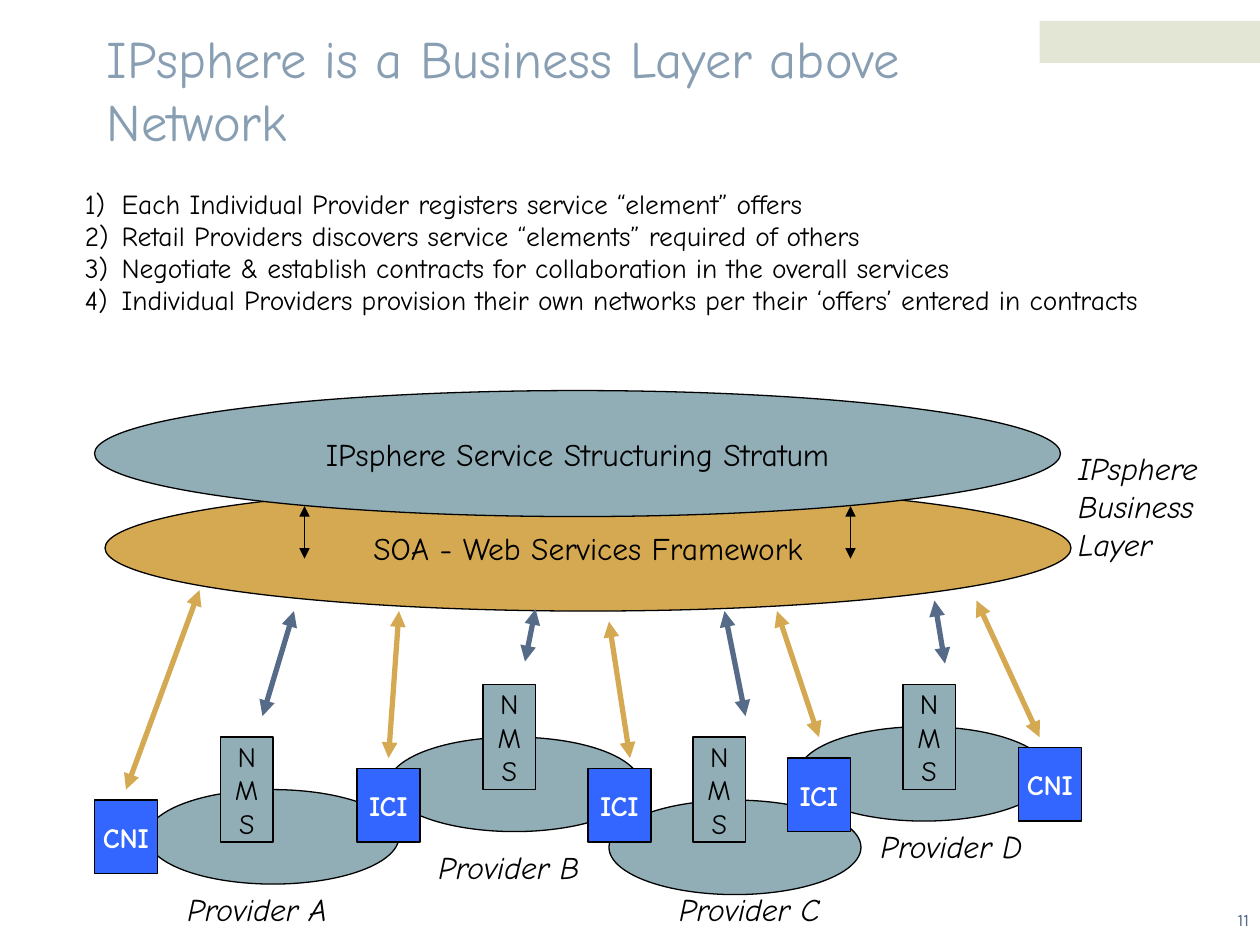
from lxml.etree import SubElement
from pptx import Presentation
from pptx.dml.color import RGBColor
from pptx.enum.shapes import MSO_CONNECTOR, MSO_SHAPE
from pptx.enum.text import MSO_ANCHOR, MSO_AUTO_SIZE, PP_ALIGN
from pptx.oxml.ns import qn
from pptx.util import Pt

# Content
TITLE = "IPsphere is a Business Layer above Network"
STEPS = [
    "Each Individual Provider registers service “element” offers",
    "Retail Providers discovers service “elements” required of others",
    "Negotiate & establish contracts for collaboration in the overall services",
    "Individual Providers provision their own networks per their ‘offers’ entered in contracts",
]
LAYER_LABEL = ["IPsphere", "Business", "Layer"]
PAGE = "11"

# Providers: name, label corner, network corner, management system corner
PROVIDERS = [
    ("Provider A", (100, 505.2), (84, 451.2), (126, 421.2)),
    ("Provider B", (243.4, 481.2), (222, 421.2), (276, 391.2)),
    ("Provider C", (381, 505.2), (348, 457.2), (396, 421.2)),
    ("Provider D", (496.2, 469.2), (456, 415.2), (516, 391.2)),
]
INTERFACES = [
    ("ICI", 204, 439.2), ("ICI", 336, 439.2), ("ICI", 450, 433.2),
    ("CNI", 54, 457.2), ("CNI", 582, 427.2),
]
# Layers: text, left, top, colour
FRAMEWORK = ("SOA - Web Services Framework", 60, 277.2, "gold")
STRATUM = ("IPsphere Service Structuring Stratum", 54, 223.2, "teal")

# Arrows: x1, y1, x2, y2
INTERFACE_ARROWS = [
    (72, 451.2, 114, 337.2), (222, 433.2, 228, 349.2), (360, 433.2, 348, 355.2),
    (468, 421.2, 444, 349.2), (594, 421.2, 558, 343.2),
]
NMS_ARROWS = [
    (150, 409.2, 168, 349.2), (300, 378, 306, 348),
    (426, 409.2, 414, 349.2), (540, 379.2, 534, 343.2),
]
LAYER_ARROWS = [(x, 289.2, x, 319.2) for x in (174, 486)]

COLORS = {
    "black": "000000", "white": "FFFFFF", "teal": "91AEB7", "gold": "D4A952",
    "blue": "3366FF", "slate": "566B87", "title": "889EB2", "band": "E3E6D5",
}
FONT = "Comic Neue"
NETWORK, NMS, INTERFACE, LAYER = (144, 54), (30, 60), (36, 42), (552, 72)

prs = Presentation()
prs.slide_width, prs.slide_height = Pt(720), Pt(540)
s = prs.slides.add_slide(prs.slide_layouts[6])


def rgb(name):
    return RGBColor.from_string(COLORS[name])


def write(tf, lines, color="black", align=PP_ALIGN.LEFT, **font):
    for i, line in enumerate(lines):
        p = tf.paragraphs[0] if i == 0 else tf.add_paragraph()
        p.alignment = align
        r = p.add_run()
        r.text = line
        for key, value in ({"name": FONT} | font).items():
            setattr(r.font, key, value)
        r.font.color.rgb = rgb(color)


def add_text(box, lines, wrap=True, anchor=MSO_ANCHOR.TOP, **style):
    tf = s.shapes.add_textbox(*map(Pt, box)).text_frame
    tf.word_wrap = wrap
    tf.vertical_anchor = anchor
    if not wrap:
        tf.auto_size = MSO_AUTO_SIZE.SHAPE_TO_FIT_TEXT
    write(tf, lines, **style)
    return tf


def add_block(kind, corner, extent, fill, lines=(), line="black", **style):
    sp = s.shapes.add_shape(kind, *map(Pt, (*corner, *extent)))
    sp.shadow.inherit = False
    sp.fill.solid()
    sp.fill.fore_color.rgb = rgb(fill)
    if line:
        sp.line.color.rgb = rgb(line)
        sp.line.width = Pt(0.75)
    else:
        sp.line.fill.background()
    tf = sp.text_frame
    tf.word_wrap = False
    tf.vertical_anchor = MSO_ANCHOR.MIDDLE
    write(tf, lines, align=PP_ALIGN.CENTER, **style)


def add_arrows(arrows, color, width):
    for ends in arrows:
        c = s.shapes.add_connector(MSO_CONNECTOR.STRAIGHT, *map(Pt, ends))
        c.line.color.rgb = rgb(color)
        c.line.width = Pt(width)
        ln = c._element.spPr.find(qn("a:ln"))
        for end in ("a:headEnd", "a:tailEnd"):
            SubElement(ln, qn(end), type="triangle")
        SubElement(c._element.spPr, qn("a:effectLst"))


def add_layer(text, left, top, fill):
    add_block(MSO_SHAPE.OVAL, (left, top), LAYER, fill, [text], size=Pt(18))


# Page number, corner band and title
add_text((625, 516.2, 95.8, 19.4), [PAGE], color="slate", align=PP_ALIGN.RIGHT,
         name="Karla", size=Pt(10))
add_block(MSO_SHAPE.RECTANGLE, (594, 12), (126, 24), "band", line=None)
add_text((54, 24, 468, 54), [TITLE], anchor=MSO_ANCHOR.MIDDLE, color="title", size=Pt(30))

# Provider networks and the interfaces between them
for name, label, network, nms in PROVIDERS:
    add_block(MSO_SHAPE.OVAL, network, NETWORK, "teal")
for text, *corner in INTERFACES:
    add_block(MSO_SHAPE.RECTANGLE, corner, INTERFACE, "blue", [text],
              color="white", size=Pt(16), bold=True)

# Framework layer, management systems and their arrows
add_layer(*FRAMEWORK)
add_arrows(INTERFACE_ARROWS, "gold", 3)
for name, label, network, nms in PROVIDERS:
    add_block(MSO_SHAPE.RECTANGLE, nms, NMS, "teal", list("NMS"), size=Pt(16))
add_arrows(NMS_ARROWS, "slate", 3)

# Top layer
add_layer(*STRATUM)
add_arrows(LAYER_ARROWS, "black", 0.75)

# Labels
add_text((609, 253.2, 83.5, 72), LAYER_LABEL, wrap=False, size=Pt(18), italic=True)
for name, label, network, nms in PROVIDERS:
    add_text((*label, 95.4, 28.8), [name], wrap=False, size=Pt(18), italic=True)

# Numbered steps
tf = add_text((42, 108, 654, 96), STEPS, size=Pt(15.7))
for side, inset in {"left": 6.5, "right": 6.5, "top": 3, "bottom": 3}.items():
    setattr(tf, f"margin_{side}", Pt(inset))
for i, p in enumerate(tf.paragraphs):
    p.line_spacing = 0.75
    if i:
        p.space_before = Pt(4.2)
    pPr = p._p.get_or_add_pPr()
    pPr.set("marL", str(Pt(21)))
    pPr.set("indent", str(-Pt(21)))
    SubElement(SubElement(pPr, qn("a:buClr")), qn("a:srgbClr"), val=COLORS["black"])
    SubElement(pPr, qn("a:buFont"), typeface=FONT)
    SubElement(pPr, qn("a:buAutoNum"), type="arabicParenR")

prs.save("out.pptx")
